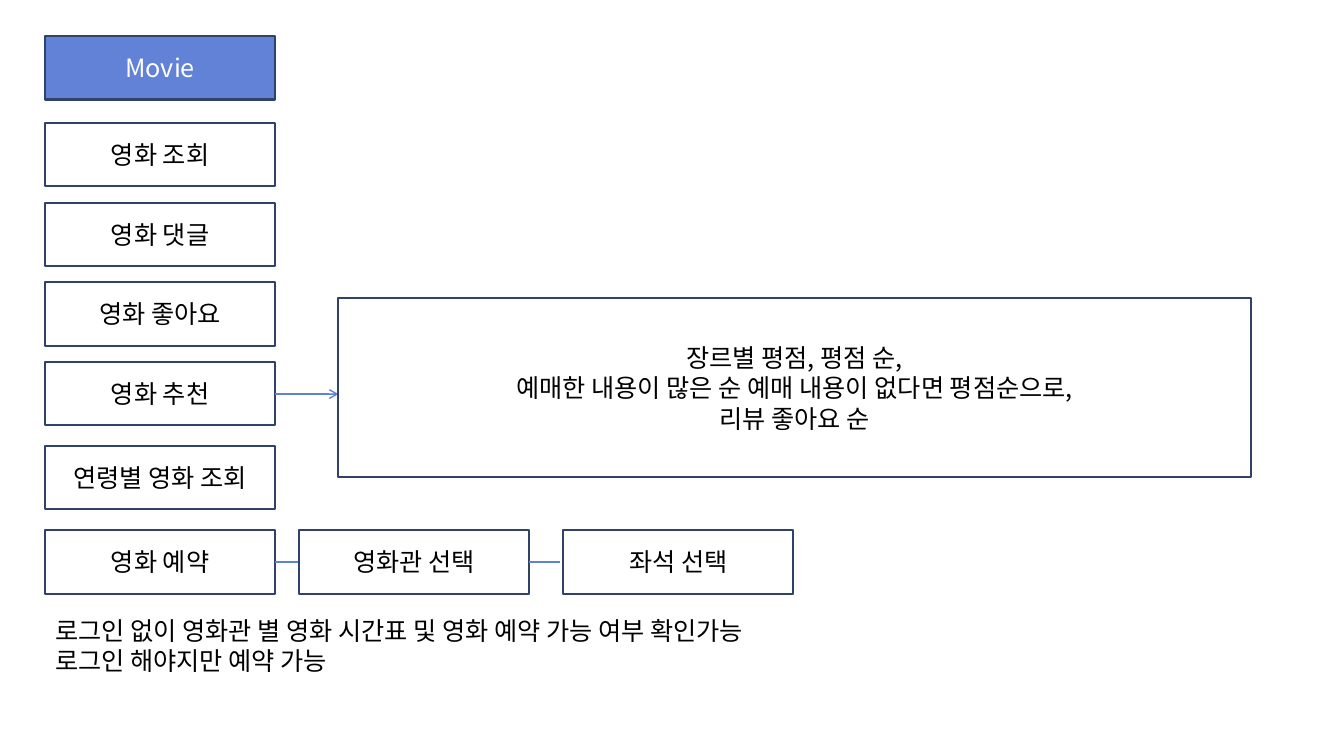
from lxml import etree
from pptx import Presentation
from pptx.dml.color import RGBColor
from pptx.enum.shapes import MSO_CONNECTOR, MSO_SHAPE
from pptx.enum.text import MSO_ANCHOR, PP_ALIGN
from pptx.oxml.ns import qn
from pptx.util import Cm, Pt

RECT = MSO_SHAPE.RECTANGLE
STRAIGHT = MSO_CONNECTOR.STRAIGHT
MIDDLE = MSO_ANCHOR.MIDDLE
LEFT, CENTER = PP_ALIGN.LEFT, PP_ALIGN.CENTER
FONT = "Noto Sans CJK KR"
COLORS = {"head": "6182D6", "edge": "30416A", "link": "5E81D9",
          "white": "FFFFFF", "black": "000000"}
BOX_W, BOX_H = 5.79, 1.6


def rgb(name):
    return RGBColor.from_string(COLORS[name])


def write(frame, text, color, align):
    frame.word_wrap = True
    frame.text = text
    for para in frame.paragraphs:
        para.alignment = align
        para.line_spacing = Pt(21.6)
        for run in para.runs:
            run.font.size = Pt(18)
            run.font.name = FONT
            run.font.color.rgb = rgb(color)
            east = etree.SubElement(run.font._element, qn("a:ea"))
            east.set("typeface", FONT)


def add_box(slide, text, x, y, w=BOX_W, h=BOX_H, fill="white", color="black"):
    box = slide.shapes.add_shape(RECT, Cm(x), Cm(y), Cm(w), Cm(h))
    box.shadow.inherit = False
    box.fill.solid()
    box.fill.fore_color.rgb = rgb(fill)
    box.line.color.rgb = rgb("edge")
    box.line.width = Pt(1.5)
    box.text_frame.vertical_anchor = MIDDLE
    write(box.text_frame, text, color, CENTER)


def add_link(slide, x, end, y, arrow=False):
    link = slide.shapes.add_connector(STRAIGHT, Cm(x), Cm(y), Cm(end), Cm(y))
    link.line.color.rgb = rgb("link")
    link.line.width = Pt(1)
    if arrow:
        tail = etree.SubElement(link.line._get_or_add_ln(), qn("a:tailEnd"))
        tail.set("type", "arrow")
    etree.SubElement(link._element.spPr, qn("a:effectLst"))


def add_menu(slide, x, y):
    """Stack the heading and the movie features."""
    add_box(slide, "Movie", x, y, fill="head", color="white")
    items = [("영화 조회", 2.19), ("영화 댓글", 4.2), ("영화 좋아요", 6.2),
             ("영화 추천", 8.21), ("연령별 영화 조회", 10.32)]
    for text, drop in items:
        add_box(slide, text, x, y + drop)


def add_booking(slide, x, y):
    """Place the booking steps in a row with the note below."""
    mid = y + BOX_H / 2
    add_box(slide, "영화 예약", x, y)
    add_link(slide, x + BOX_W, x + 6.65, mid)
    add_box(slide, "영화관 선택", x + 6.4, y)
    add_link(slide, x + 6.4 + BOX_W, x + 12.98, mid)
    add_box(slide, "좌석 선택", x + 13.06, y)
    note = slide.shapes.add_textbox(Cm(x), Cm(y + 2.01), Cm(20.02), Cm(1.78))
    write(note.text_frame,
          "로그인 없이 영화관 별 영화 시간표 및 영화 예약 가능 여부 확인가능\n"
          "로그인 해야지만 예약 가능", "black", LEFT)


def add_advice(slide, x, y, w, h):
    """Explain the recommendation order, with an arrow from the menu."""
    add_link(slide, x - 1.6, x, y + 2.41, arrow=True)
    add_box(slide, "장르별 평점, 평점 순,\n"
            "예매한 내용이 많은 순 예매 내용이 없다면 평점순으로,\n"
            "리뷰 좋아요 순", x, y, w, h)


def main():
    deck = Presentation()
    deck.slide_width, deck.slide_height = Cm(33.87), Cm(19.05)
    slide = deck.slides.add_slide(deck.slide_layouts[6])
    add_menu(slide, 1.14, 0.91)
    add_booking(slide, 1.14, 13.36)
    add_advice(slide, 8.53, 7.52, 22.99, 4.5)
    deck.save("out.pptx")


if __name__ == "__main__":
    main()
